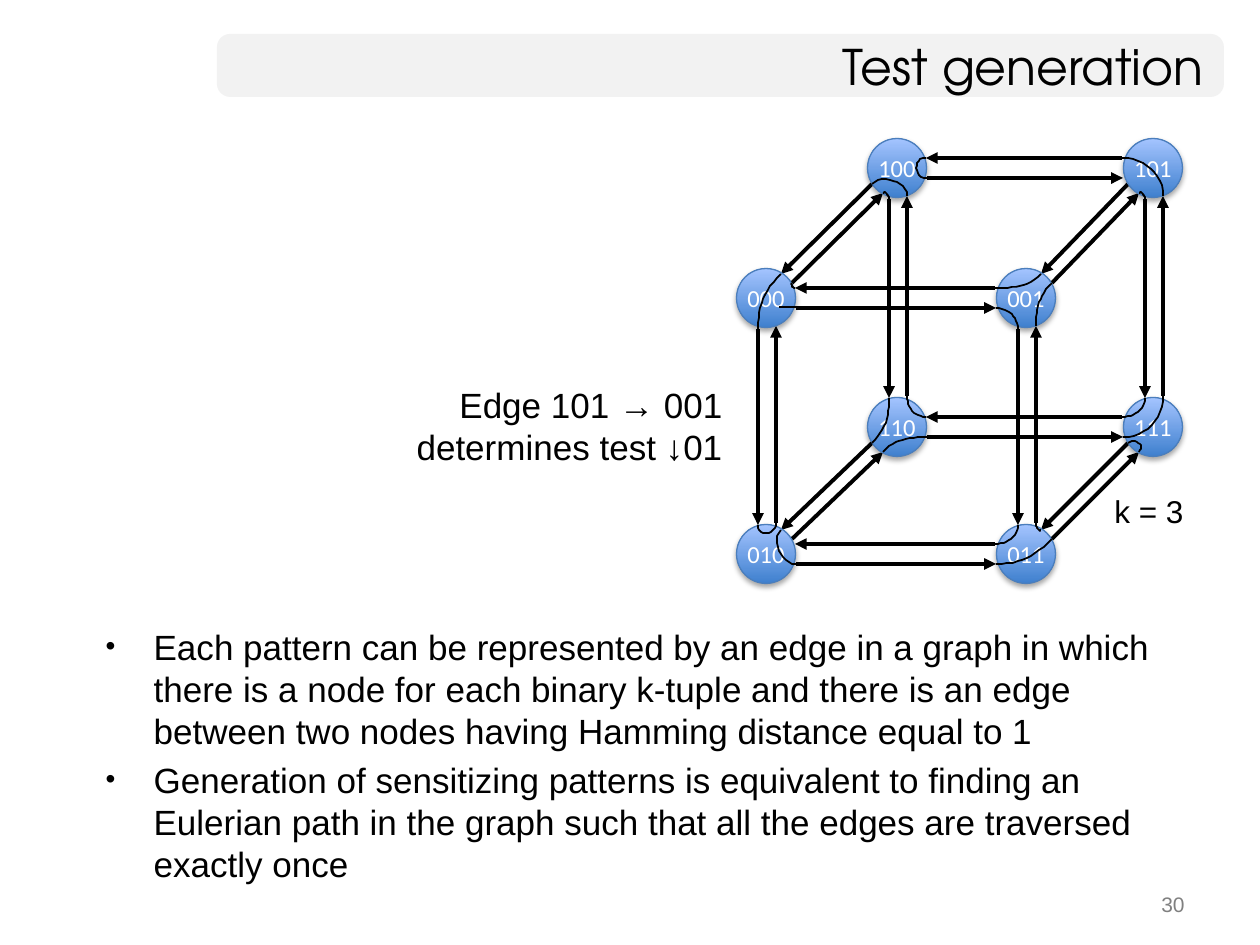
from itertools import permutations
from math import dist

from lxml import etree
from pptx import Presentation
from pptx import util as u
from pptx.dml.color import RGBColor
from pptx.enum import shapes, text
from pptx.oxml import ns

PX = 914400 / 126
SLIDE = (1260, 945)

TITLE = "Test generation"
BULLETS = [
    "Each pattern can be represented by an edge in a graph in which there is a node "
    "for each binary k-tuple and there is an edge between two nodes having Hamming "
    "distance equal to 1",
    "Generation of sensitizing patterns is equivalent to finding an Eulerian path in "
    "the graph such that all the edges are traversed exactly once",
]
# text, box, size name, colour name, alignment, wraps
LABELS = [
    ("Edge 101 → 001 determines test ↓01", (396, 377, 339, 97), "body", "ink", "RIGHT", True),
    ("k = 3", (1102, 486, 96, 50), "label", "ink", "LEFT", False),
    ("30", (903, 882, 294, 44), "number", "muted", "RIGHT", True),
]
NODES = {  # centres
    "000": (766, 298), "001": (1026, 298), "101": (1153, 168), "100": (897, 168),
    "110": (897, 427), "010": (766, 554), "011": (1026, 554), "111": (1153, 427),
}
NODE_SIZE = 59
# Side of a node: arrow end, arrow start (both from the centre), inward direction
SIDES = {
    "E": ((29, -10), (30, 10), (-1, 0)),
    "W": ((-30, 10), (-31, -10), (1, 0)),
    "N": ((-8, -29), (10, -31), (0, 1)),
    "S": ((10, 28), (-8, 31), (0, -1)),
    "NE": ((15, -24), (26, -15), (-0.7, 0.7)),
    "SW": ((-14, 25), (-25, 16), (0.7, -0.7)),
}
# Sides that face each other when a bit goes from 0 to 1, one pair per bit
BIT_SIDES = [("NE", "SW"), ("S", "N"), ("E", "W")]
# Turns of the path in each node: side entered, side left
TURNS = {
    "000": ["NE S", "E NE"],
    "001": ["W S", "NE W", "S NE"],
    "010": ["N N", "NE E"],
    "011": ["N W", "W NE", "NE N"],
    "100": ["E E", "S SW", "SW S"],
    "101": ["S W", "SW S"],
    "110": ["SW E", "N SW", "E N"],
    "111": ["W N", "N W", "SW SW"],
}
PATH_START = (798, 307, 779, 307)

THEME = {
    "font": {"title": "TeX Gyre Adventor", "body": "Arial", "node": "Calibri"},
    "size": {"title": 28, "body": 20, "label": 18, "node": 14, "number": 12},
    "color": {"ink": "000000", "muted": "808080", "banner": "F2F2F2", "white": "FFFFFF",
              "node_low": "3F80CE", "node_high": "A4C4FF", "node_line": "4B7EBC"},
}


def px(*values):
    return [u.Emu(round(value * PX)) for value in values]


def color(name):
    return RGBColor.from_string(THEME["color"][name])


def child(parent, tag, **attributes):
    return etree.SubElement(parent, ns.qn(tag), attributes)


def place(shape, box):
    shape.left, shape.top, shape.width, shape.height = px(*box)


def write(para, words, size, ink="ink", font="body", align="LEFT"):
    para.alignment = getattr(text.PP_ALIGN, align)
    span = para.add_run()
    span.text = words
    span.font.name = THEME["font"][font]
    span.font.size = u.Pt(THEME["size"][size])
    span.font.color.rgb = color(ink)


def shift(point, step, factor=1):
    return tuple(value + factor * move for value, move in zip(point, step))


def add_line(group, ends, width, arrow=False):
    line = group.shapes.add_connector(shapes.MSO_CONNECTOR.STRAIGHT, *px(*ends))
    line.line.color.rgb = color("ink")
    line.line.width = u.Pt(width)
    if arrow:
        child(line.line._get_or_add_ln(), "a:tailEnd", type="triangle")
    child(line._element.spPr, "a:effectLst")


def add_edges(group):
    """Join all nodes at Hamming distance 1, one arrow each way."""
    for source, target in permutations(NODES, 2):
        changed = [bit for bit in range(3) if source[bit] != target[bit]]
        if len(changed) == 1:
            bit = changed[0]
            exit_side, entry_side = BIT_SIDES[bit][::1 if source[bit] == "0" else -1]
            start = shift(NODES[source], SIDES[exit_side][1])
            end = shift(NODES[target], SIDES[entry_side][0])
            add_line(group, start + end, 2.25, arrow=True)


def add_node(group, name, center):
    left, top = (value - NODE_SIZE / 2 for value in center)
    node = group.shapes.add_shape(shapes.MSO_SHAPE.OVAL, *px(left, top, NODE_SIZE, NODE_SIZE))
    node.fill.gradient()
    node.fill.gradient_angle = 90
    for stop, shade in zip(node.fill.gradient_stops, ("node_low", "node_high")):
        stop.color.rgb = color(shade)
    node.line.color.rgb = color("node_line")
    node.line.width = u.Pt(0.75)
    node.shadow.inherit = False
    effects = node._element.spPr.find(ns.qn("a:effectLst"))
    shadow = child(effects, "a:outerShdw", blurRad=str(u.Pt(3.1)), dist=str(u.Pt(1.8)),
                   dir="5400000", rotWithShape="0")
    child(child(shadow, "a:srgbClr", val=THEME["color"]["ink"]), "a:alpha", val="35000")
    frame = node.text_frame
    frame.word_wrap = False
    frame.vertical_anchor = text.MSO_ANCHOR.MIDDLE
    write(frame.paragraphs[0], name, "node", "white", "node", "CENTER")


def curve_points(corners, steps=12):
    """Sample one cubic Bezier curve."""
    for step in range(1, steps + 1):
        t = step / steps
        weights = ((1 - t) ** 3, 3 * t * (1 - t) ** 2, 3 * t * t * (1 - t), t ** 3)
        yield tuple(sum(w * value for w, value in zip(weights, axis)) for axis in zip(*corners))


def add_turn(group, center, entered, left):
    start, end = shift(center, SIDES[entered][0]), shift(center, SIDES[left][1])
    reach = dist(start, end) * (0.67 if entered == left else 0.4)
    corners = [start, shift(start, SIDES[entered][2], reach),
               shift(end, SIDES[left][2], reach), end]
    builder = group.shapes.build_freeform(*start, scale=PX)
    builder.add_line_segments(curve_points(corners), close=False)
    turn = builder.convert_to_shape()
    turn.fill.background()
    turn.line.color.rgb = color("ink")
    turn.line.width = u.Pt(1)
    turn.shadow.inherit = False


def add_graph(slide):
    group = slide.shapes.add_group_shape()
    add_edges(group)
    for name, center in NODES.items():
        add_node(group, name, center)
    add_line(group, PATH_START, 1)
    for name, turns in TURNS.items():
        for turn in turns:
            add_turn(group, NODES[name], *turn.split())


def add_title(slide):
    banner = slide.shapes.add_shape(shapes.MSO_SHAPE.ROUNDED_RECTANGLE, *px(217, 34, 1007, 63))
    banner.adjustments[0] = 0.21
    banner.fill.solid()
    banner.fill.fore_color.rgb = color("banner")
    banner.line.fill.background()
    banner.shadow.inherit = False
    slide.shapes._spTree.insert(2, banner._element)
    title = slide.shapes.title
    place(title, (217, 34, 999, 63))
    title.text_frame.auto_size = text.MSO_AUTO_SIZE.NONE
    title.text_frame.vertical_anchor = text.MSO_ANCHOR.MIDDLE
    write(title.text_frame.paragraphs[0], TITLE, "title", font="title", align="RIGHT")


def add_bullets(slide):
    body = slide.placeholders[1]
    place(body, (93, 619, 1105, 275))
    frame = body.text_frame
    frame.auto_size = text.MSO_AUTO_SIZE.NONE
    for index, words in enumerate(BULLETS):
        para = frame.add_paragraph() if index else frame.paragraphs[0]
        props = para._p.get_or_add_pPr()
        indent = px(48)[0]
        props.set("marL", str(indent))
        props.set("indent", str(-indent))
        child(props, "a:buSzPct", val="80000")
        child(props, "a:buChar", char="•")
        para.space_before = u.Pt(4 if index else 0)
        write(para, words, "body")


def add_label(slide, words, box, size, ink, align, wraps):
    frame = slide.shapes.add_textbox(*px(*box)).text_frame
    frame.word_wrap = wraps
    frame.vertical_anchor = text.MSO_ANCHOR.MIDDLE
    write(frame.paragraphs[0], words, size, ink, align=align)


deck = Presentation()
deck.slide_width, deck.slide_height = px(*SLIDE)
page = deck.slides.add_slide(deck.slide_layouts[1])
add_title(page)
add_graph(page)
add_bullets(page)
for label in LABELS:
    add_label(page, *label)
deck.save("out.pptx")
